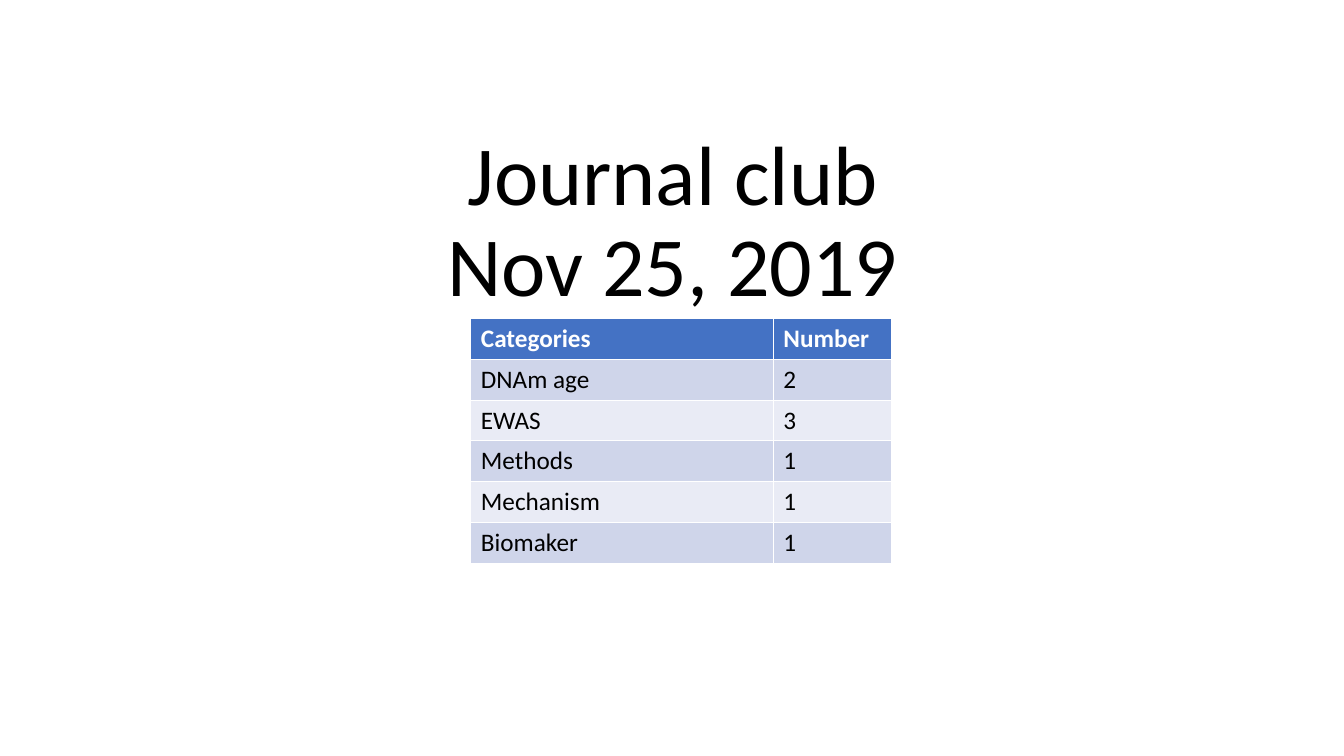
"""Build the journal club title slide with its table of paper categories."""
from pptx import Presentation
from pptx.dml.color import RGBColor as RGB
from pptx.enum.text import MSO_ANCHOR as Anchor, PP_ALIGN as Align
from pptx.util import Inches, Pt

COLORS = {
    "white": "FFFFFF",
    "black": "000000",
    "head": "4472C4",
    "dark": "CFD5EA",
    "light": "E9EBF5",
}
ROWS = [
    ("Categories", "Number"),
    ("DNAm age", "2"),
    ("EWAS", "3"),
    ("Methods", "1"),
    ("Mechanism", "1"),
    ("Biomaker", "1"),
]


def write(frame, text, size=18, color="black", bold=False, align=Align.LEFT, space=1.0):
    frame.text = text
    for para in frame.paragraphs:
        para.alignment = align
        para.line_spacing = space
        for run in para.runs:
            run.font.name = "Calibri"
            run.font.size = Pt(size)
            run.font.bold = bold
            run.font.color.rgb = RGB.from_string(COLORS[color])


deck = Presentation()
deck.slide_width, deck.slide_height = Inches(13.33), Inches(7.5)
slide = deck.slides.add_slide(deck.slide_layouts[6])

title = slide.shapes.add_textbox(Inches(1.67), Inches(0.56), Inches(10), Inches(2.61)).text_frame
title.word_wrap = True
title.vertical_anchor = Anchor.BOTTOM
write(title, "Journal club\vNov 25, 2019", size=60, align=Align.CENTER, space=0.9)

table = slide.shapes.add_table(
    len(ROWS), 2, Inches(4.67), Inches(3.16), Inches(4.17), Inches(2.43)
).table
for col, width in zip(table.columns, (3, 1.17)):
    col.width = Inches(width)

for r, row in enumerate(ROWS):
    head = r == 0
    fill = "head" if head else "dark" if r % 2 else "light"
    for c, text in enumerate(row):
        cell = table.cell(r, c)
        cell.fill.solid()
        cell.fill.fore_color.rgb = RGB.from_string(COLORS[fill])
        write(cell.text_frame, text, color="white" if head else "black", bold=head)

deck.save("out.pptx")
